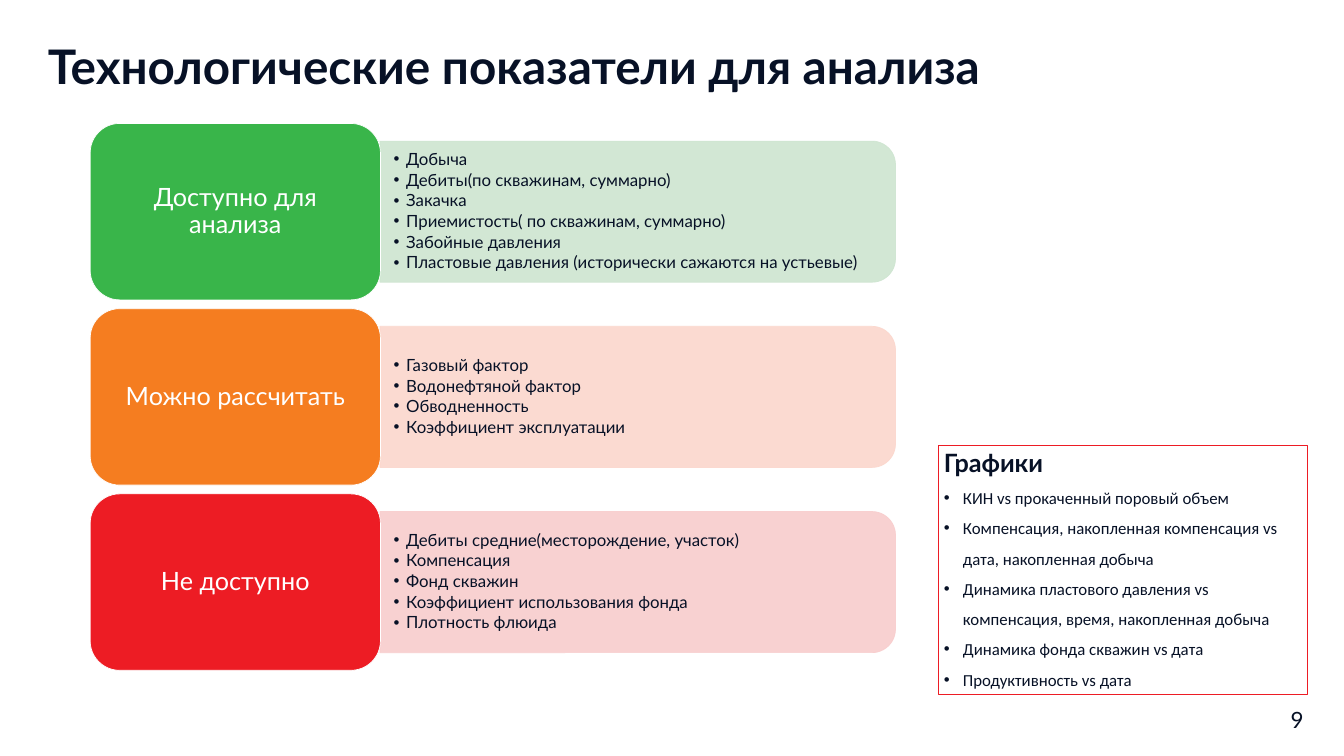
from dataclasses import dataclass

from lxml.etree import SubElement
from pptx import Presentation
from pptx.dml.color import RGBColor
from pptx.enum.shapes import MSO_SHAPE
from pptx.enum.text import MSO_ANCHOR, PP_ALIGN
from pptx.oxml.ns import qn
from pptx.util import Inches, Pt

NAVY = RGBColor(0x07, 0x11, 0x26)
WHITE = RGBColor(0xFF, 0xFF, 0xFF)
GREEN = RGBColor(0x39, 0xB5, 0x4A)
PALE_GREEN = RGBColor(0xCE, 0xE5, 0xD0)
ORANGE = RGBColor(0xF5, 0x7D, 0x20)
PALE_ORANGE = RGBColor(0xFB, 0xD7, 0xCD)
RED = RGBColor(0xED, 0x1C, 0x24)
PALE_RED = RGBColor(0xF8, 0xCD, 0xCD)

LABEL_LEFT, LABEL_WIDTH, LABEL_HEIGHT = 1.79, 5.76, 3.5
BAR_LEFT, BAR_WIDTH, BAR_HEIGHT = 7.54, 10.23, 2.8
FIRST_TOP, ROW_PITCH = 2.45, 3.675


@dataclass
class Category:
    label: str
    color: RGBColor
    pale_color: RGBColor
    indicators: list[str]


CATEGORIES = [
    Category("Доступно для анализа", GREEN, PALE_GREEN, [
        "Добыча",
        "Дебиты(по скважинам, суммарно)",
        "Закачка",
        "Приемистость( по скважинам, суммарно)",
        "Забойные давления",
        "Пластовые давления (исторически сажаются на устьевые)",
    ]),
    Category("Можно рассчитать", ORANGE, PALE_ORANGE, [
        "Газовый фактор",
        "Водонефтяной фактор",
        "Обводненность",
        "Коэффициент эксплуатации",
    ]),
    Category("Не доступно", RED, PALE_RED, [
        "Дебиты средние(месторождение, участок)",
        "Компенсация",
        "Фонд скважин",
        "Коэффициент использования фонда",
        "Плотность флюида",
    ]),
]

CHARTS = [
    "КИН vs прокаченный поровый объем",
    "Компенсация, накопленная компенсация vs дата, накопленная добыча",
    "Динамика пластового давления vs компенсация, время, накопленная добыча",
    "Динамика фонда скважин vs дата",
    "Продуктивность vs дата",
]


def set_frame(shape, margin_x: float, margin_y: float, anchor=MSO_ANCHOR.MIDDLE) -> None:
    frame = shape.text_frame
    frame.word_wrap = True
    frame.vertical_anchor = anchor
    frame.margin_left = frame.margin_right = Inches(margin_x)
    frame.margin_top = frame.margin_bottom = Inches(margin_y)


def add_text(shape, text: str, *, size: float, color=NAVY, font="Lato", bold=False,
             align=PP_ALIGN.LEFT, line_spacing=1.0, space_after=0.0, indent=0.0) -> None:
    """Add a paragraph, filling the empty first one; an indent gives it a bullet."""
    frame = shape.text_frame
    paragraph = frame.add_paragraph() if frame.text else frame.paragraphs[0]
    if indent:
        properties = paragraph._p.get_or_add_pPr()
        properties.set("marL", str(Inches(indent)))
        properties.set("indent", str(-Inches(indent)))
        SubElement(properties, qn("a:buFont"), typeface="Arial")
        SubElement(properties, qn("a:buChar"), char="•")
    paragraph.alignment = align
    paragraph.line_spacing = line_spacing
    paragraph.space_before = Pt(0)
    paragraph.space_after = Pt(space_after)
    run = paragraph.add_run()
    run.text = text
    run.font.name = font
    run.font.size = Pt(size)
    run.font.bold = bold
    run.font.color.rgb = color


def add_box(slide, kind, left: float, top: float, width: float, height: float,
            fill: RGBColor, line: RGBColor):
    shape = slide.shapes.add_shape(kind, Inches(left), Inches(top), Inches(width), Inches(height))
    shape.shadow.inherit = False
    shape.fill.solid()
    shape.fill.fore_color.rgb = fill
    shape.line.color.rgb = line
    shape.line.width = Pt(1)
    return shape


def add_text_box(slide, left: float, top: float, width: float, height: float):
    return slide.shapes.add_textbox(Inches(left), Inches(top), Inches(width), Inches(height))


def add_category(slide, category: Category, top: float) -> None:
    middle = top + LABEL_HEIGHT / 2
    # The bar is an upright shape turned a quarter, so its sides are swapped.
    bar = add_box(slide, MSO_SHAPE.ROUND_2_SAME_RECTANGLE,
                  BAR_LEFT + (BAR_WIDTH - BAR_HEIGHT) / 2, middle - BAR_WIDTH / 2,
                  BAR_HEIGHT, BAR_WIDTH, category.pale_color, category.pale_color)
    bar.rotation = 90
    for color in bar._element.spPr.iter(qn("a:srgbClr")):
        SubElement(color, qn("a:alpha"), val="90000")

    indicators = add_text_box(slide, BAR_LEFT, middle - 1.265, 10.1, 2.53)
    set_frame(indicators, 0.27, 0.14)
    for indicator in category.indicators:
        add_text(indicators, indicator, size=24, line_spacing=0.9, space_after=3.6, indent=0.25)

    label = add_box(slide, MSO_SHAPE.ROUNDED_RECTANGLE, LABEL_LEFT, top,
                    LABEL_WIDTH, LABEL_HEIGHT, category.color, WHITE)
    set_frame(label, 0.15, 0.07)
    add_text(label, category.label, size=36, color=WHITE, align=PP_ALIGN.CENTER, line_spacing=0.9)


def main() -> None:
    presentation = Presentation()
    presentation.slide_width = Inches(26.67)
    presentation.slide_height = Inches(15)
    slide = presentation.slides.add_slide(presentation.slide_layouts[5])

    title = slide.shapes.title
    title.left, title.top = Inches(0.89), Inches(0.81)
    title.width, title.height = Inches(24.92), Inches(1.14)
    set_frame(title, 0.06, 0.06, MSO_ANCHOR.TOP)
    add_text(title, "Технологические показатели для анализа", size=68, bold=True, line_spacing=0.9)

    charts = add_box(slide, MSO_SHAPE.RECTANGLE, 18.63, 8.83, 7.32, 4.95, WHITE, RED)
    set_frame(charts, 0.1, 0.05, MSO_ANCHOR.TOP)
    add_text(charts, "Графики", size=36, bold=True)
    for chart in CHARTS:
        add_text(charts, chart, size=24, font="Calibri", line_spacing=1.5, indent=0.38)

    page_number = add_text_box(slide, 25.15, 13.78, 1.18, 0.98)
    set_frame(page_number, 0.06, 0.06)
    add_text(page_number, "9", size=32, align=PP_ALIGN.CENTER)

    for row, category in enumerate(CATEGORIES):
        add_category(slide, category, FIRST_TOP + row * ROW_PITCH)

    presentation.save("out.pptx")


if __name__ == "__main__":
    main()
